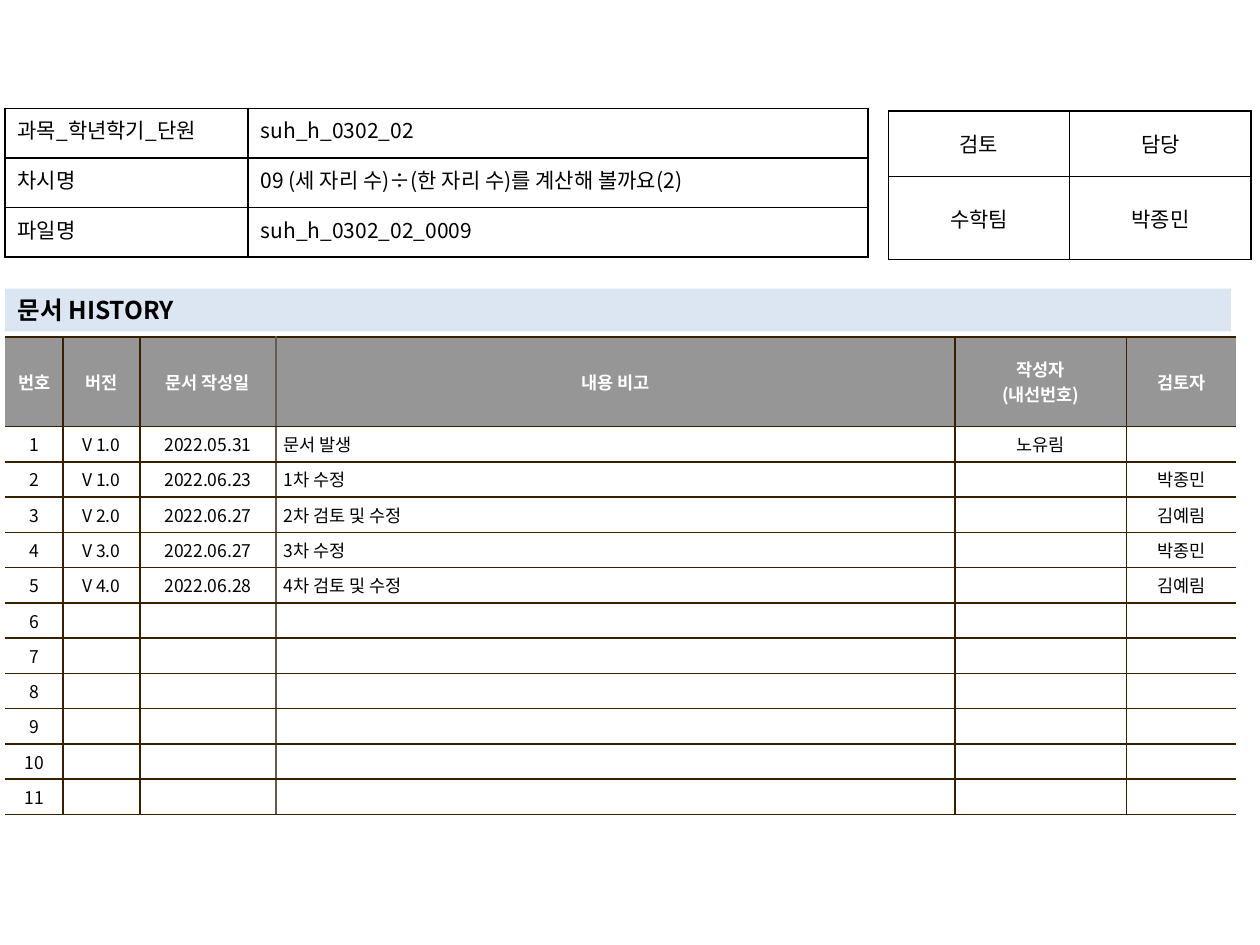
from dataclasses import dataclass

from lxml import etree
from pptx import Presentation
from pptx import util as u
from pptx.dml import color
from pptx.enum import text
from pptx.oxml import ns

GRID_COLUMNS, GRID_ROWS = 100, 75
CENTER, LEFT, JUSTIFY = text.PP_ALIGN.CENTER, text.PP_ALIGN.LEFT, text.PP_ALIGN.JUSTIFY
MIDDLE, TOP = text.MSO_ANCHOR.MIDDLE, text.MSO_ANCHOR.TOP


@dataclass(frozen=True)
class Theme:
    font: str = "Noto Sans CJK KR"
    black: str = "000000"
    white: str = "FFFFFF"
    header: str = "969696"
    band: str = "DCE6F2"
    rule: str = "362000"
    soft_rule: str = "645B4C"
    small: int = 10
    body: int = 12
    title: int = 14


def rgb(value):
    return color.RGBColor.from_string(value)


class PageBuilder:
    def __init__(self, deck, theme):
        self.theme = theme
        self.unit_x = deck.slide_width / GRID_COLUMNS
        self.unit_y = deck.slide_height / GRID_ROWS
        self.page = deck.slides.add_slide(deck.slide_layouts[5])

    def across(self, columns):
        return u.Emu(round(columns * self.unit_x))

    def down(self, rows):
        return u.Emu(round(rows * self.unit_y))

    def add_wording(self, para, wording, size, ink, bold=False, align=LEFT):
        para.alignment = align
        if not wording:
            etree.SubElement(para._p, ns.qn("a:endParaRPr"), sz=str(size * 100))
            return
        span = para.add_run()
        span.text = wording
        span.font.size = u.Pt(size)
        span.font.bold = bold
        span.font.color.rgb = rgb(ink)
        span.font.name = self.theme.font
        latin = span.font._element.find(ns.qn("a:latin"))
        latin.addnext(etree.Element(ns.qn("a:ea"), typeface=self.theme.font))

    def title(self, wording, left, top, width, height):
        box = self.page.shapes.title
        box.left, box.top = self.across(left), self.down(top)
        box.width, box.height = self.across(width), self.down(height)
        box.fill.solid()
        box.fill.fore_color.rgb = rgb(self.theme.band)
        frame = box.text_frame
        frame.auto_size = text.MSO_AUTO_SIZE.NONE
        frame.word_wrap = True
        frame.vertical_anchor = MIDDLE
        self.add_wording(frame.paragraphs[0], wording, self.theme.title,
                         self.theme.black, True)

    def table(self, left, top, widths, heights):
        frame = self.page.shapes.add_table(
            len(heights), len(widths), self.across(left), self.down(top),
            self.across(sum(widths)), self.down(sum(heights)))
        grid = frame.table
        grid.first_row = grid.horz_banding = False
        for column, width in zip(grid.columns, widths):
            column.width = self.across(width)
        for row, height in zip(grid.rows, heights):
            row.height = self.down(height)
        return grid

    def borders(self, cell, edges):
        props = cell._tc.get_or_add_tcPr()
        for side, ink in zip("LRTB", edges):
            line = etree.SubElement(props, ns.qn(f"a:ln{side}"), w=str(u.Pt(1)))
            if ink:
                fill = etree.SubElement(line, ns.qn("a:solidFill"))
                etree.SubElement(fill, ns.qn("a:srgbClr"), val=ink)
            else:
                etree.SubElement(line, ns.qn("a:noFill"))

    def cell(self, cell, wording, edges, size, ink, fill=None, bold=False,
             align=CENTER, anchor=MIDDLE, margins=(1, 0.5), hanging=0):
        self.borders(cell, edges)
        if fill:
            cell.fill.solid()
            cell.fill.fore_color.rgb = rgb(fill)
        else:
            cell.fill.background()
        cell.vertical_anchor = anchor
        cell.margin_left = cell.margin_right = self.across(margins[0])
        cell.margin_top = cell.margin_bottom = self.down(margins[1])
        frame = cell.text_frame
        for index, line in enumerate(wording.split("\n")):
            para = frame.add_paragraph() if index else frame.paragraphs[0]
            if hanging:
                props = para._p.get_or_add_pPr()
                props.set("marL", str(self.across(hanging)))
                props.set("indent", str(-self.across(hanging)))
            self.add_wording(para, line, size, ink, bold, align)

    def form(self, left, top, widths, heights, entries, aligns, anchor):
        grid = self.table(left, top, widths, heights)
        for row, values in enumerate(entries):
            for column, value in enumerate(values):
                self.cell(grid.cell(row, column), value, [self.theme.black] * 4,
                          self.theme.body, self.theme.black,
                          align=aligns[column], anchor=anchor)

    def history(self, left, top, widths, header_height, row_height, header, entries):
        theme = self.theme
        heights = [header_height] + [row_height] * len(entries)
        grid = self.table(left, top, widths, heights)
        note, reviewer = 3, 5
        uprights = [None] + [theme.rule] * (len(widths) - 1) + [None]
        uprights[note] = theme.soft_rule
        hanging = {note: 1.9, reviewer: 0.9}
        for row, values in enumerate([header] + entries):
            heading = row == 0
            for column, value in enumerate(values):
                self.cell(
                    grid.cell(row, column), value,
                    uprights[column:column + 2] + [theme.rule] * 2, theme.small,
                    theme.white if heading else theme.black,
                    fill=theme.header if heading else theme.white, bold=heading,
                    align=LEFT if column == note and not heading else CENTER,
                    margins=(0.6, 0.4),
                    hanging=0 if heading else hanging.get(column, 0))


def main():
    deck = Presentation()
    deck.slide_width, deck.slide_height = u.Inches(10), u.Inches(7.5)
    builder = PageBuilder(deck, Theme())

    revisions = [
        ("V 1.0", "2022.05.31", "문서 발생", "노유림", ""),
        ("V 1.0", "2022.06.23", "1차 수정", "", "박종민"),
        ("V 2.0", "2022.06.27", "2차 검토 및 수정", "", "김예림"),
        ("V 3.0", "2022.06.27", "3차 수정", "", "박종민"),
        ("V 4.0", "2022.06.28", "4차 검토 및 수정", "", "김예림"),
    ]
    revisions += [("",) * 5] * (11 - len(revisions))
    entries = [(str(number), *values) for number, values in enumerate(revisions, 1)]
    header = ("번호", "버전", "문서 작성일", "내용 비고", "작성자\n(내선번호)", "검토자")
    builder.history(0.4, 26.75, [4.6, 6.1, 10.8, 53.9, 13.6, 8.7], 7.1, 2.79,
                    header, entries)

    builder.form(70.5, 8.8, [14.4] * 2, [5.2, 6.6],
                 [("검토", "담당"), ("수학팀", "박종민")], [CENTER] * 2, MIDDLE)
    builder.title("문서 HISTORY", 0.4, 22.9, 97.3, 3.4)
    builder.form(0.4, 8.6, [19.3, 49.2], [3.93] * 3,
                 [("과목_학년학기_단원", "suh_h_0302_02"),
                  ("차시명", "09 (세 자리 수)÷(한 자리 수)를 계산해 볼까요(2)"),
                  ("파일명", "suh_h_0302_02_0009")], [JUSTIFY, LEFT], TOP)
    deck.save("out.pptx")


if __name__ == "__main__":
    main()
